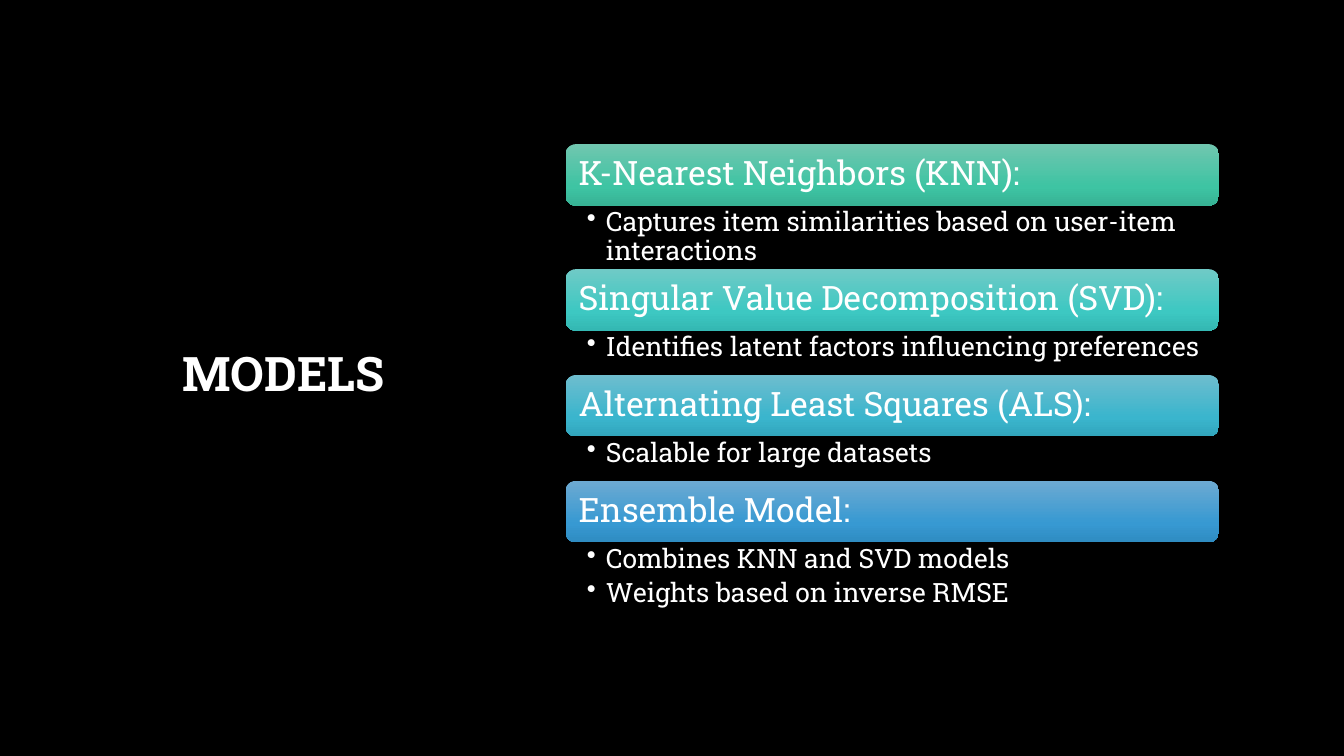
from dataclasses import dataclass

from lxml.etree import SubElement
from pptx import Presentation
from pptx.dml.color import RGBColor
from pptx.enum.shapes import MSO_SHAPE
from pptx.enum.text import MSO_ANCHOR, PP_ALIGN
from pptx.oxml.ns import qn
from pptx.slide import Slide
from pptx.text.text import TextFrame
from pptx.util import Emu, Pt

PX = 9144
FONT = "Roboto Slab"
BLACK = RGBColor(0x00, 0x00, 0x00)
WHITE = RGBColor(0xFF, 0xFF, 0xFF)
STOPS = (0, 69, 100)
LEFT, TOP, WIDTH = 561, 143, 648
BAR_HEIGHT = 61
LINE_SPACING = 0.9
BULLET_INDENT = 19


@dataclass(frozen=True)
class Model:
    name: str
    points: tuple[str, ...]
    detail_height: int
    shades: tuple[RGBColor, RGBColor, RGBColor]


MODELS = (
    Model(
        "K-Nearest Neighbors (KNN):",
        ("Captures item similarities based on user-item interactions",),
        63,
        (RGBColor(0x70, 0xC6, 0xAF), RGBColor(0x3E, 0xC4, 0xA3), RGBColor(0x37, 0xB3, 0x95)),
    ),
    Model(
        "Singular Value Decomposition (SVD):",
        ("Identifies latent factors influencing preferences",),
        44,
        (RGBColor(0x6F, 0xCA, 0xC6), RGBColor(0x3D, 0xC8, 0xC2), RGBColor(0x34, 0xB8, 0xB3)),
    ),
    Model(
        "Alternating Least Squares (ALS):",
        ("Scalable for large datasets",),
        44,
        (RGBColor(0x6E, 0xBD, 0xCE), RGBColor(0x3A, 0xB5, 0xCD), RGBColor(0x32, 0xA6, 0xBD)),
    ),
    Model(
        "Ensemble Model:",
        ("Combines KNN and SVD models", "Weights based on inverse RMSE"),
        69,
        (RGBColor(0x6D, 0xAA, 0xD2), RGBColor(0x37, 0x99, 0xD2), RGBColor(0x2F, 0x8C, 0xC2)),
    ),
)


def px(length: int) -> Emu:
    return Emu(length * PX)


def set_margins(frame: TextFrame, left: int, top: int, right: int, bottom: int) -> None:
    frame.word_wrap = True
    frame.margin_left, frame.margin_top = px(left), px(top)
    frame.margin_right, frame.margin_bottom = px(right), px(bottom)


def write(
    frame: TextFrame,
    lines: tuple[str, ...],
    size: int,
    align: PP_ALIGN = PP_ALIGN.LEFT,
    bold: bool = False,
    bulleted: bool = False,
) -> None:
    for index, line in enumerate(lines):
        para = frame.add_paragraph() if index else frame.paragraphs[0]
        para.text = line
        para.alignment = align
        para.line_spacing = LINE_SPACING
        para.font.name = FONT
        para.font.size = Pt(size)
        para.font.bold = bold
        para.font.color.rgb = WHITE
        if bulleted:
            para.space_after = Pt(size * 0.2)
            add_bullet(para._p.get_or_add_pPr())


def add_bullet(properties) -> None:
    properties.set("marL", str(px(BULLET_INDENT)))
    properties.set("indent", str(px(-BULLET_INDENT)))
    bullet = properties.makeelement(qn("a:buChar"), {"char": "•"})
    properties.find(qn("a:defRPr")).addprevious(bullet)


def fill_gradient(bar, shades: tuple[RGBColor, ...]) -> None:
    bar.fill.gradient()
    bar.fill.gradient_angle = 270
    stop_list = bar._element.spPr.find(qn("a:gradFill")).find(qn("a:gsLst"))
    for stop in list(stop_list):
        stop_list.remove(stop)
    for position, shade in zip(STOPS, shades):
        stop = SubElement(stop_list, qn("a:gs"), pos=str(position * 1000))
        SubElement(stop, qn("a:srgbClr"), val=str(shade))


def draw_title(page: Slide) -> None:
    box = page.shapes.add_textbox(px(82), px(67), px(398), px(613))
    frame = box.text_frame
    set_margins(frame, 10, 5, 10, 5)
    frame.vertical_anchor = MSO_ANCHOR.MIDDLE
    write(frame, ("MODELS",), 34, align=PP_ALIGN.CENTER, bold=True)


def draw_model(page: Slide, model: Model, top: int) -> None:
    bar = page.shapes.add_shape(
        MSO_SHAPE.ROUNDED_RECTANGLE, px(LEFT), px(top), px(WIDTH), px(BAR_HEIGHT)
    )
    bar.shadow.inherit = False
    bar.line.fill.background()
    fill_gradient(bar, model.shades)
    set_margins(bar.text_frame, 10, 10, 10, 10)
    bar.text_frame.vertical_anchor = MSO_ANCHOR.MIDDLE
    write(bar.text_frame, (model.name,), 24)

    box = page.shapes.add_textbox(
        px(LEFT), px(top + BAR_HEIGHT), px(WIDTH), px(model.detail_height)
    )
    set_margins(box.text_frame, 21, 3, 19, 3)
    write(box.text_frame, model.points, 19, bulleted=True)


def main() -> None:
    deck = Presentation()
    deck.slide_width, deck.slide_height = px(1333), px(750)
    page = deck.slides.add_slide(deck.slide_layouts[6])
    page.background.fill.solid()
    page.background.fill.fore_color.rgb = BLACK
    draw_title(page)
    top = TOP
    for model in MODELS:
        draw_model(page, model, top)
        top += BAR_HEIGHT + model.detail_height
    deck.save("out.pptx")


if __name__ == "__main__":
    main()
